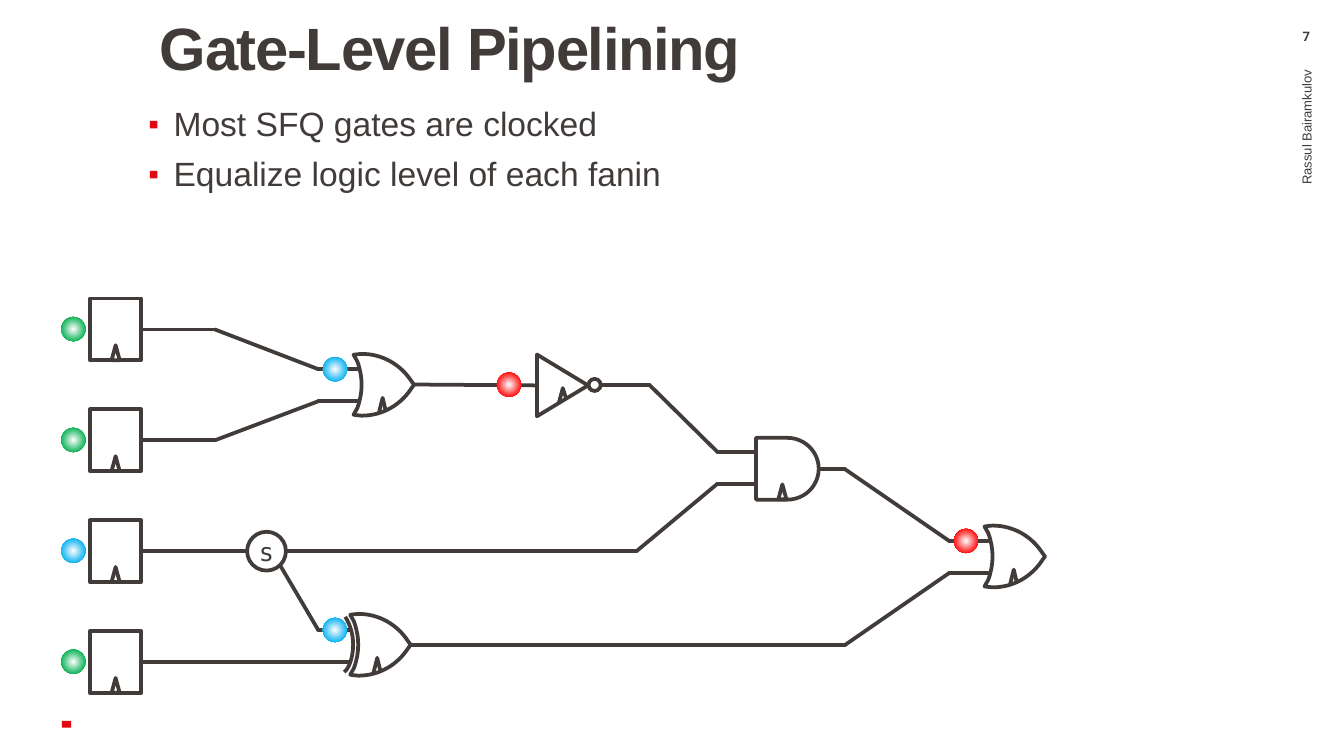
from dataclasses import dataclass
from itertools import pairwise

import pptx
import pptx.dml.color
import pptx.enum.shapes
import pptx.enum.text
import pptx.oxml
import pptx.oxml.ns
import pptx.util

Pt = pptx.util.Pt
RGBColor = pptx.dml.color.RGBColor
SHAPE = pptx.enum.shapes.MSO_SHAPE
ALIGN = pptx.enum.text.PP_ALIGN
ANCHOR = pptx.enum.text.MSO_ANCHOR
qn = pptx.oxml.ns.qn

INK = RGBColor(0x41, 0x3C, 0x3A)
ACCENT = RGBColor(0xE3, 0x06, 0x13)
WHITE = RGBColor(0xFF, 0xFF, 0xFF)
RED = RGBColor(0xFF, 0x00, 0x00)
BLUE = RGBColor(0x00, 0xB0, 0xF0)
GREEN = RGBColor(0x00, 0xB0, 0x50)
NS = 'xmlns:a="http://schemas.openxmlformats.org/drawingml/2006/main"'

# Input rows and the gate size shared by the whole circuit
ROWS = [176.5 + 59.4 * i for i in range(4)]
GATE_H = 33.1
FF_X, FF_W = 48.2, 27.4
FF_OUT = FF_X + FF_W

# Gate outlines relative to the gate corner: 2 numbers = line, 6 = Bezier
OR_START = (4.3, 0)
OR_OUTLINE = [
    (2.9, 0, 1.4, 0.4, 0, 0.5), (2, 4),
    (3.5, 8, 4.3, 12.2, 4.3, 16.55), (4.3, 20.9, 3.5, 25.1, 2, 29.1),
    (0, 32.6), (1.4, 32.7, 2.9, 33.1, 4.3, 33.1),
    (15.6, 33.1, 25.2, 27.3, 31, 18.5), (32.4, 16.55), (31, 14.6),
    (25.2, 5.8, 15.6, 0, 4.3, 0),
]
XOR_START = (-2.6, 1.6)
XOR_BACK = [(0.4, 6.5, 1.6, 11.5, 1.6, 16.5), (1.6, 21.5, 0.2, 28.5, -3.2, 31.2)]


@dataclass
class Pulse:
    x: float
    y: float
    color: RGBColor


PULSES = [Pulse(39.3, y - 0.2, c) for y, c in zip(ROWS, (GREEN, GREEN, BLUE, GREEN))] + [
    Pulse(179.5, 197.8, BLUE),
    Pulse(179.4, 337.5, BLUE),
    Pulse(272.7, 206.1, RED),
    Pulse(517.5, 289.8, RED),
]

WIRES = [
    [(FF_OUT, ROWS[0]), (115.1, ROWS[0]), (170.5, 197.8), (191.5, 197.8)],
    [(FF_OUT, ROWS[1]), (115.1, ROWS[1]), (170.5, 215), (191.5, 215)],
    [(FF_OUT, ROWS[2]), (341, ROWS[2]), (384.3, 259.2), (405.2, 259.2)],
    [(FF_OUT, ROWS[3]), (187.2, ROWS[3])],
    [(149.8, 302.4), (170.5, 337.5), (187.2, 337.5)],
    [(221.8, 206), (288, 206.5)],
    [(321.8, 206.1), (347.8, 206.1), (384.3, 242.1), (405.2, 242.1)],
    [(438.5, 251.3), (452.6, 251.3), (508.5, 289.8), (529.2, 289.8)],
    [(220.3, 345.6), (452.6, 345.6), (508.5, 307), (529.2, 307)],
]


def ink_line(line) -> None:
    line.color.rgb = INK
    line.width = Pt(2)


def add_node(shapes, kind, x: float, y: float, w: float, h: float):
    sp = shapes.add_shape(kind, Pt(x), Pt(y), Pt(w), Pt(h))
    sp.shadow.inherit = False
    sp.fill.solid()
    sp.fill.fore_color.rgb = WHITE
    ink_line(sp.line)
    return sp


def add_wire(shapes, points: list[tuple[float, float]]) -> None:
    for (x1, y1), (x2, y2) in pairwise(points):
        cn = shapes.add_connector(pptx.enum.shapes.MSO_CONNECTOR.STRAIGHT,
                                  Pt(x1), Pt(y1), Pt(x2), Pt(y2))
        ink_line(cn.line)
        cn.line._get_or_add_ln().set("cap", "rnd")
        cn.element.spPr.append(pptx.oxml.parse_xml(f"<a:effectLst {NS}/>"))


def add_outline(shapes, x: float, y: float, start, segments, closed: bool) -> None:
    fb = shapes.build_freeform(Pt(x + start[0]), Pt(y + start[1]))
    fb.add_line_segments([(Pt(x + seg[-2]), Pt(y + seg[-1])) for seg in segments],
                         close=False)
    sp = fb.convert_to_shape()
    # Turn the straight segments that have control points into Bezier curves
    outline = next(sp.element.iter(qn("a:path")))
    for node, seg in zip(outline.findall(qn("a:lnTo")), segments):
        if len(seg) == 6:
            pts = "".join(f'<a:pt x="{Pt(x + px) - sp.left}" y="{Pt(y + py) - sp.top}"/>'
                          for px, py in zip(seg[::2], seg[1::2]))
            outline.replace(node, pptx.oxml.parse_xml(
                f"<a:cubicBezTo {NS}>{pts}</a:cubicBezTo>"))
    sp.shadow.inherit = False
    ink_line(sp.line)
    if closed:
        outline.append(pptx.oxml.parse_xml(f"<a:close {NS}/>"))
        sp.fill.solid()
        sp.fill.fore_color.rgb = WHITE
    else:
        sp.fill.background()


def add_clock(shapes, x: float, y: float) -> None:
    add_node(shapes, SHAPE.ISOSCELES_TRIANGLE, x, y, 4.3, 8)


def add_or(shapes, x: float, y: float, tick: float) -> None:
    add_outline(shapes, x, y, OR_START, OR_OUTLINE, True)
    add_wire(shapes, [(x + tick - 2, y + 31.6), (x + tick, y + 23.6),
                      (x + tick + 1.6, y + 30.3)])


def add_pulse(shapes, pulse: Pulse) -> None:
    sp = add_node(shapes, SHAPE.OVAL, pulse.x - 6.5, pulse.y - 6.5, 13, 13)
    sp.line.fill.background()
    sp.fill.gradient()
    for stop, color, pos in zip(sp.fill.gradient_stops, (WHITE, pulse.color), (0, 0.77)):
        stop.color.rgb = color
        stop.position = pos
    grad = sp.element.spPr.find(qn("a:gradFill"))
    grad.replace(grad.find(qn("a:lin")), pptx.oxml.parse_xml(
        f'<a:path {NS} path="circle"><a:fillToRect l="50000" t="50000" '
        'r="50000" b="50000"/></a:path>'))


def set_frame(tf, left=7.2, top=3.6, right=7.2, bottom=3.6, anchor=ANCHOR.TOP) -> None:
    tf.word_wrap = True
    tf.auto_size = pptx.enum.text.MSO_AUTO_SIZE.NONE
    tf.vertical_anchor = anchor
    tf.margin_left, tf.margin_top = Pt(left), Pt(top)
    tf.margin_right, tf.margin_bottom = Pt(right), Pt(bottom)


def add_run(p, text: str, size: float, font="Arial", bold=False):
    r = p.add_run()
    r.text = text
    r.font.size, r.font.name, r.font.bold = Pt(size), font, bold
    r.font.color.rgb = INK
    return r


def add_bullet(p, text: str) -> None:
    p.line_spacing = 0.9
    pPr = p._p.get_or_add_pPr()
    pPr.set("marL", str(Pt(13.5)))
    pPr.set("indent", str(-Pt(13.5)))
    for tag in (f'<a:buClr {NS}><a:srgbClr val="{ACCENT}"/></a:buClr>',
                f'<a:buSzPct {NS} val="90000"/>',
                f'<a:buFont {NS} typeface="Arial"/>', f'<a:buChar {NS} char="▪"/>'):
        pPr.append(pptx.oxml.parse_xml(tag))
    add_run(p, text, 18)


def main() -> None:
    prs = pptx.Presentation()
    prs.slide_width, prs.slide_height = Pt(720), Pt(405)
    slide = prs.slides.add_slide(prs.slide_layouts[5])
    shapes = slide.shapes

    # Title
    title = shapes.title
    title.left, title.top, title.width, title.height = Pt(71.3), Pt(10), Pt(491), Pt(43.2)
    set_frame(title.text_frame, 14.4, 0, 5.8, 3.6)
    p = title.text_frame.paragraphs[0]
    p.alignment, p.line_spacing = ALIGN.LEFT, 0.9
    r = add_run(p, "Gate-Level Pipelining", 32, bold=True)
    r.font._element.set("spc", "-73")

    # Bullets
    tf = shapes.add_textbox(Pt(65.1), Pt(54), Pt(605.5), Pt(80.6)).text_frame
    set_frame(tf, left=14.4)
    add_bullet(tf.paragraphs[0], "Most SFQ gates are clocked")
    p = tf.add_paragraph()
    p.space_before = Pt(7.5)
    add_bullet(p, "Equalize logic level of each fanin")

    # Page number, author and corner mark
    tf = shapes.add_textbox(Pt(679.7), Pt(15.1), Pt(40.3), Pt(13)).text_frame
    set_frame(tf, top=0, bottom=0)
    tf.paragraphs[0].alignment = ALIGN.CENTER
    add_run(tf.paragraphs[0], "7", 7, "Roboto", True)
    author = shapes.add_textbox(Pt(560.5), Pt(149.4), Pt(278.6), Pt(40.3))
    author.rotation = 270
    set_frame(author.text_frame, anchor=ANCHOR.MIDDLE)
    author.text_frame.paragraphs[0].alignment = ALIGN.RIGHT
    add_run(author.text_frame.paragraphs[0], "Rassul Bairamkulov", 7)
    mark = add_node(shapes, SHAPE.RECTANGLE, 33.2, 386.2, 5, 3.6)
    mark.fill.fore_color.rgb = ACCENT
    mark.line.fill.background()

    # Wires and input flip-flops
    for wire in WIRES:
        add_wire(shapes, wire)
    for y in ROWS:
        add_node(shapes, SHAPE.RECTANGLE, FF_X, y - GATE_H / 2, FF_W, GATE_H)
        add_clock(shapes, 59.8, y + 8.5)

    # Splitter
    sp = add_node(shapes, SHAPE.OVAL, 132.4, ROWS[2] - 10.4, 20.8, 20.8)
    set_frame(sp.text_frame, 0, 0, 0, 0, ANCHOR.MIDDLE)
    sp.text_frame.paragraphs[0].alignment = ALIGN.CENTER
    add_run(sp.text_frame.paragraphs[0], "s", 13.5, "DejaVu Sans Mono")

    # OR, XOR and output OR gates
    add_or(shapes, 189.4, 189.6, 15.6)
    add_or(shapes, 187.6, 328.9, 14.5)
    add_outline(shapes, 187.6, 328.9, XOR_START, XOR_BACK, False)
    add_or(shapes, 527.4, 281.6, 15.7)

    # Inverter
    sp = add_node(shapes, SHAPE.ISOSCELES_TRIANGLE, 284.8, 192.8, GATE_H, 27.4)
    sp.rotation = 90
    add_node(shapes, SHAPE.OVAL, 315.3, 203, 6.5, 6.5)
    add_wire(shapes, [(299.5, 215.5), (301.5, 208), (303.2, 213.2)])

    # AND gate
    add_node(shapes, SHAPE.FLOWCHART_DELAY, 405, 234.6, 33.6, GATE_H)
    add_clock(shapes, 417, 259.5)

    # Pulses
    for pulse in PULSES:
        add_pulse(shapes, pulse)

    prs.save("out.pptx")


if __name__ == "__main__":
    main()
